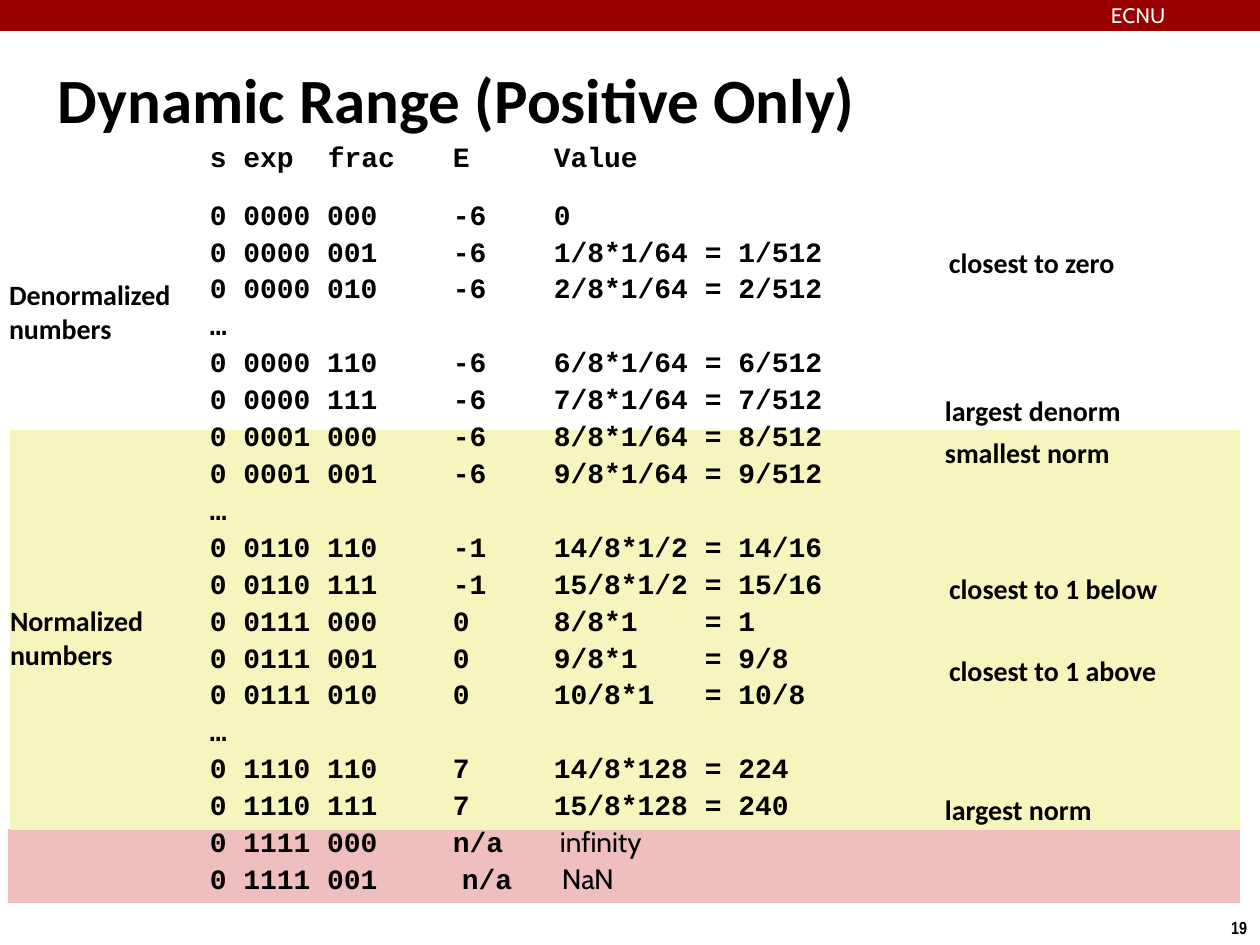
from dataclasses import dataclass

from pptx import Presentation
from pptx.dml.color import RGBColor
from pptx.enum.shapes import MSO_SHAPE
from pptx.enum.text import MSO_ANCHOR, MSO_AUTO_SIZE, PP_ALIGN
from pptx.oxml.ns import qn
from pptx.util import Emu, Pt
from lxml import etree

RECT = MSO_SHAPE.RECTANGLE
MIDDLE = MSO_ANCHOR.MIDDLE
GROW = MSO_AUTO_SIZE.SHAPE_TO_FIT_TEXT
CENTER = PP_ALIGN.CENTER


@dataclass(frozen=True)
class Theme:
    banner: str = "990000"
    special: str = "EFBFBF"
    normalized: str = "F6F5BD"
    # Type styles: font, size, bold, colour
    title: tuple = ("Calibri", 36, True, "000000")
    label: tuple = ("Calibri", 16, True, "000000")
    code: tuple = ("Courier New", 16, True, "000000")
    word: tuple = ("Cabin", 16, False, "000000")
    header: tuple = ("Cabin", 12, False, "FFFFFF")
    page: tuple = ("Arial Narrow", 10, True, "000000")


def px(n):
    return Emu(round(n * 914400 / 126))


def apply(target, values):
    for name, value in values.items():
        setattr(target, name, value)


class Deck:
    def __init__(self, theme):
        self.theme = theme
        self.prs = Presentation()
        apply(self.prs, {"slide_width": px(1260), "slide_height": px(945)})
        self.s = self.prs.slides.add_slide(self.prs.slide_layouts[6])

    def band(self, x, y, w, h, color):
        sp = self.s.shapes.add_shape(RECT, px(x), px(y), px(w), px(h))
        sp.shadow.inherit = False
        sp.fill.solid()
        sp.fill.fore_color.rgb = RGBColor.from_string(color)
        sp.line.fill.background()

    def frame(self, x, y, w, h, inset=0, **fmt):
        tf = self.s.shapes.add_textbox(px(x), px(y), px(w), px(h)).text_frame
        sides = ("left", "top", "right", "bottom")
        apply(tf, {f"margin_{side}": px(inset) for side in sides})
        apply(tf, {"word_wrap": True, **fmt})
        return tf

    def run(self, p, text, style):
        name, size, bold, color = style
        r = p.add_run()
        r.text = text
        apply(r.font, {"name": name, "size": Pt(size), "bold": bold})
        r.font.color.rgb = RGBColor.from_string(color)

    def text(self, box, lines, style, inset=0, align=None, **fmt):
        tf = self.frame(*box, inset, **fmt)
        for i, line in enumerate(lines.split("\n")):
            p = tf.add_paragraph() if i else tf.paragraphs[0]
            p.alignment = align
            self.run(p, line, style)

    def label(self, x, y, w, h, lines):
        self.text((x, y, w, h), lines, self.theme.label, 5,
                  word_wrap=False, auto_size=GROW)

    def tabs(self, p, stops):
        tab_list = etree.SubElement(p._p.get_or_add_pPr(), qn("a:tabLst"))
        for stop in stops:
            etree.SubElement(tab_list, qn("a:tab"), pos=str(px(stop)), algn="l")

    def listing(self, box, rows):
        tf = self.frame(*box)
        for i, (code, word, stops) in enumerate(rows):
            p = tf.add_paragraph() if i else tf.paragraphs[0]
            p.line_spacing = 1.1
            if i == 1:
                p.space_before = Pt(12)
            self.tabs(p, stops)
            self.run(p, code, self.theme.code)
            if word:
                self.run(p, word, self.theme.word)


# Tab stops: frac heading, E, value, equals sign
STOPS = (118, 243, 344, 495)

NUMBERS = """s exp\tfrac\tE\tValue
0 0000 000\t-6\t0
0 0000 001\t-6\t1/8*1/64\t= 1/512
0 0000 010\t-6\t2/8*1/64\t= 2/512
…
0 0000 110\t-6\t6/8*1/64\t= 6/512
0 0000 111\t-6\t7/8*1/64\t= 7/512
0 0001 000\t-6\t8/8*1/64\t= 8/512
0 0001 001\t-6\t9/8*1/64\t= 9/512
…
0 0110 110\t-1\t14/8*1/2\t= 14/16
0 0110 111\t-1\t15/8*1/2\t= 15/16
0 0111 000\t0\t8/8*1\t= 1
0 0111 001\t0\t9/8*1\t= 9/8
0 0111 010\t0\t10/8*1\t= 10/8
…
0 1110 110\t7\t14/8*128\t= 224
0 1110 111\t7\t15/8*128\t= 240"""

SPECIALS = [
    ("0 1111 000\tn/a\t", "infinity", (243, 350)),
    ("0 1111 001\tn/a\t", "NaN", (252, 352)),
]

NOTES = [
    (944, 241, 212, "closest to zero"),
    (940, 388, 226, "largest denorm"),
    (940, 431, 212, "smallest norm"),
    (944, 567, 258, "closest to 1 below"),
    (944, 649, 258, "closest to 1 above"),
    (940, 788, 192, "largest norm"),
]


def main():
    theme = Theme()
    deck = Deck(theme)

    # Page number and top banner
    deck.text((1192, 911, 94, 34), "19", theme.page, 6, CENTER,
              word_wrap=False, auto_size=GROW)
    deck.band(0, 0, 1261, 31, theme.banner)
    deck.text((1111, 3, 181, 24), "ECNU", theme.header)

    # Bands behind the number groups
    deck.band(8, 829, 1232, 74, theme.special)
    deck.band(10, 430, 1230, 400, theme.normalized)

    # Listing of encodings and values
    rows = [(line, "", STOPS) for line in NUMBERS.split("\n")]
    deck.listing((210, 136, 640, 766), rows + SPECIALS)

    # Title
    deck.text((53, 35, 1155, 127), "Dynamic Range (Positive Only)",
              theme.title, 5, vertical_anchor=MIDDLE)

    # Notes on the right, group names on the left
    for x, y, w, note in NOTES:
        deck.label(x, y, w, 44, note)
    deck.label(4, 273, 205, 78, "Denormalized\nnumbers")
    deck.label(5, 599, 173, 78, "Normalized\nnumbers")

    deck.prs.save("out.pptx")


if __name__ == "__main__":
    main()
